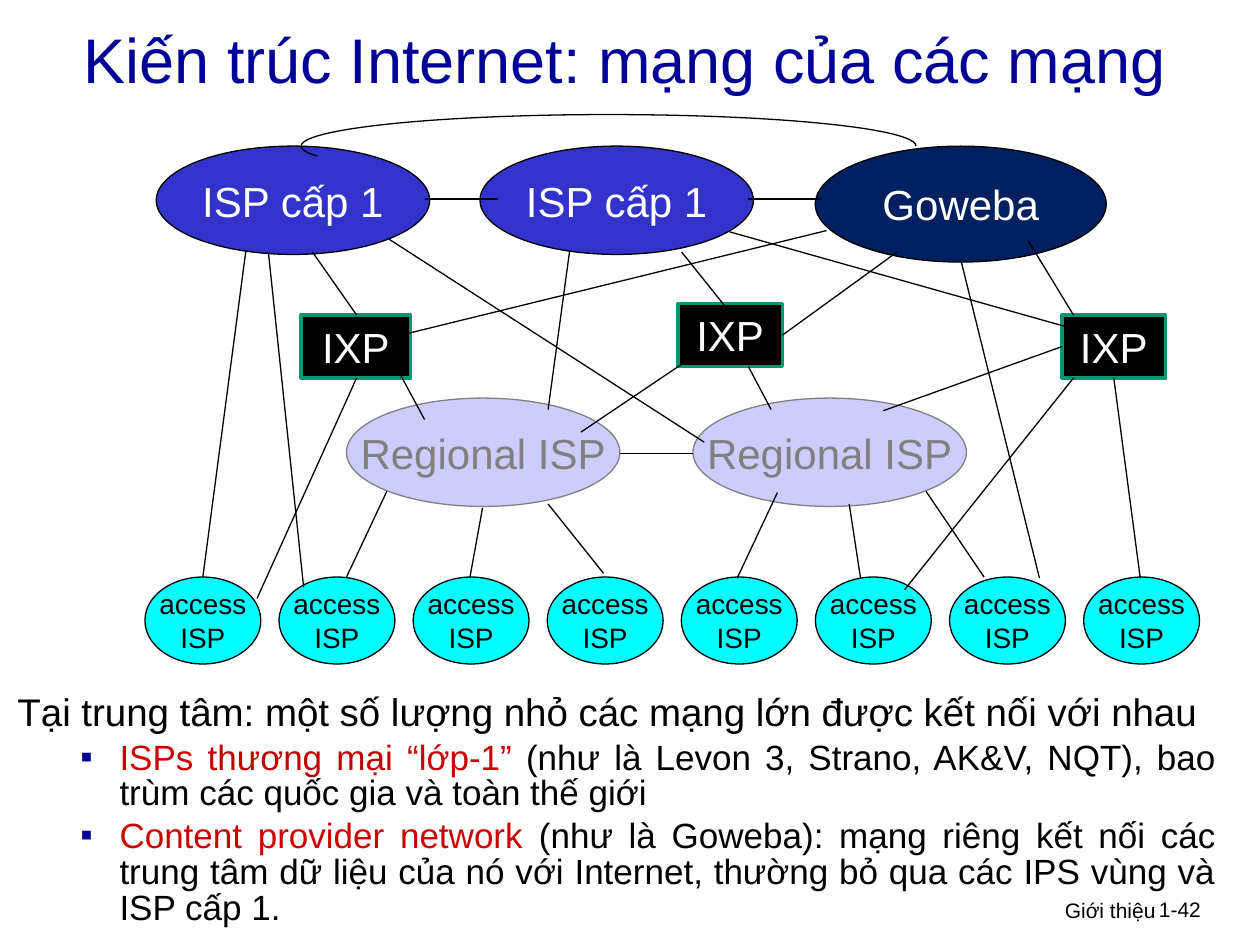
"""Build a slide on the Internet as a network of networks."""
from dataclasses import dataclass
from typing import NamedTuple

from lxml.etree import SubElement
from pptx import Presentation
from pptx.dml.color import RGBColor
from pptx.enum.shapes import MSO_CONNECTOR, MSO_SHAPE
from pptx.enum.text import MSO_ANCHOR, PP_ALIGN
from pptx.oxml.ns import qn
from pptx.util import Cm, Length, Pt


@dataclass(frozen=True)
class Theme:
    font: str = "Arial"
    black: str = "000000"
    white: str = "FFFFFF"
    navy: str = "000099"
    red: str = "CC0000"
    dark_red: str = "C00000"
    tier_one: str = "3333CC"
    provider: str = "002060"
    regional: str = "CCCCFF"
    gray: str = "808080"
    access: str = "00FFFF"
    exchange_edge: str = "009771"
    title_size: float = 36
    node_size: float = 24
    lead_size: float = 22
    bullet_size: float = 20
    access_size: float = 16
    footer_size: float = 12
    thin: float = 0.75
    thick: float = 2


class Span(NamedTuple):
    text: str
    color: str


class Area(NamedTuple):
    left: float
    top: float
    width: float
    height: float


class Link(NamedTuple):
    x1: float
    y1: float
    x2: float
    y2: float


@dataclass(frozen=True)
class NodeStyle:
    fill: str
    text: str = "FFFFFF"
    edge: str = "000000"
    edge_width: float = 0.75
    size: float = 24
    preset: MSO_SHAPE = MSO_SHAPE.OVAL
    wrap: bool = False


class Node(NamedTuple):
    label: str
    area: Area
    style: NodeStyle


THEME = Theme()
TIER_ONE = NodeStyle(THEME.tier_one)
PROVIDER = NodeStyle(THEME.provider)
REGIONAL = NodeStyle(THEME.regional, THEME.gray, THEME.gray)
ACCESS = NodeStyle(THEME.access, THEME.black, size=THEME.access_size)
EXCHANGE = NodeStyle(THEME.black, edge=THEME.exchange_edge, edge_width=THEME.thick,
                     preset=MSO_SHAPE.RECTANGLE, wrap=True)

ACCESS_PITCH = 7.45 / 7
NODES = [
    *(Node("access\nISP", Area(1.15 + index * ACCESS_PITCH, 4.58, 0.92, 0.69), ACCESS)
      for index in range(8)),
    *(Node("Regional ISP", Area(left, 3.16, 2.17, 0.86), REGIONAL) for left in (2.75, 5.5)),
    *(Node("ISP cấp 1", Area(left, 1.16, 2.17, 0.86), TIER_ONE) for left in (1.24, 3.81)),
    Node("Goweba", Area(6.47, 1.16, 2.31, 0.92), PROVIDER),
    Node("IXP", Area(2.39, 2.5, 0.87, 0.5), EXCHANGE),
    Node("IXP", Area(5.38, 2.41, 0.83, 0.5), EXCHANGE),
    Node("IXP", Area(8.43, 2.5, 0.82, 0.5), EXCHANGE),
]

PEER_LINKS = [Link(3.95, 1.58, 3.37, 1.58), Link(6.52, 1.58, 5.94, 1.58),
              Link(5.5, 3.6, 4.92, 3.6)]
TIER_ONE_LINKS = [
    Link(1.95, 2, 1.61, 4.58), Link(2.13, 2, 2.41, 4.66), Link(2.48, 2, 2.83, 2.5),
    Link(3.09, 1.9, 5.59, 3.51), Link(4.52, 2, 4.35, 3.25), Link(5.41, 2, 5.85, 2.55),
    Link(5.79, 1.84, 8.45, 2.59),
]
PROVIDER_LINKS = [Link(6.56, 1.83, 3.1, 2.68), Link(7.12, 2, 6.21, 2.66),
                  Link(7.63, 2.08, 8.25, 4.59), Link(8.16, 1.91, 8.52, 2.5)]
EXCHANGE_LINKS = [
    Link(2.83, 3, 2.04, 4.75), Link(3.1, 2.83, 3.37, 3.33), Link(5.5, 2.83, 4.61, 3.43),
    Link(5.94, 2.91, 6.12, 3.25), Link(8.43, 2.75, 7.01, 3.26), Link(8.52, 3, 7.18, 4.68),
    Link(8.84, 3, 9.05, 4.59),
]
REGIONAL_LINKS = [
    Link(3.07, 3.9, 2.75, 4.58), Link(3.83, 4.03, 3.73, 4.58), Link(4.35, 4, 4.79, 4.55),
    Link(6.17, 3.91, 5.85, 4.59), Link(6.74, 4, 6.83, 4.59), Link(7.35, 3.9, 7.81, 4.58),
]
LINKS = PEER_LINKS + TIER_ONE_LINKS + PROVIDER_LINKS + EXCHANGE_LINKS + REGIONAL_LINKS

LEAD = "Tại trung tâm: một số lượng nhỏ các mạng lớn được kết nối với nhau"
BULLETS = [
    [Span("ISPs ", THEME.red), Span("thương mại ", THEME.dark_red), Span("“lớp-1” ", THEME.red),
     Span("(như là Levon 3, Strano, AK&V, NQT), bao trùm các quốc gia và toàn thế giới",
          THEME.black)],
    [Span("Content provider network ", THEME.red),
     Span("(như là Goweba): mạng riêng kết nối các trung tâm dữ liệu của nó với Internet, "
          "thường bỏ qua các IPS vùng và ISP cấp 1.", THEME.black)],
]


def inches(value: float) -> Length:
    return Cm(value * 2.54)


def place(area: Area) -> list[Length]:
    return [inches(value) for value in area]


def write_paragraph(paragraph, spans: list[Span], *, size: float, align=PP_ALIGN.CENTER,
                    line_spacing: float | None = None, before: float = 0,
                    bullet: str | None = None) -> None:
    paragraph.alignment = align
    paragraph.line_spacing = line_spacing
    paragraph.space_before = Pt(before)
    if bullet:
        paragraph.level = 1
        properties = paragraph._p.get_or_add_pPr()
        properties.set("marL", str(inches(0.81)))
        properties.set("indent", str(inches(-0.31)))
        color = SubElement(properties, qn("a:buClr"))
        SubElement(color, qn("a:srgbClr"), val=THEME.navy)
        SubElement(properties, qn("a:buFont"), typeface=THEME.font)
        SubElement(properties, qn("a:buChar"), char=bullet)
    for span in spans:
        run = paragraph.add_run()
        run.text = span.text
        run.font.name = THEME.font
        run.font.size = Pt(size)
        run.font.color.rgb = RGBColor.from_string(span.color)


def add_text(page, area: Area, spans: list[Span], *, anchor=MSO_ANCHOR.TOP, **text_format):
    frame = page.shapes.add_textbox(*place(area)).text_frame
    frame.word_wrap = True
    frame.vertical_anchor = anchor
    write_paragraph(frame.paragraphs[0], spans, **text_format)
    return frame


def style_line(shape, color: str, width: float) -> None:
    shape.line.color.rgb = RGBColor.from_string(color)
    shape.line.width = Pt(width)


def draw_node(page, node: Node) -> None:
    style = node.style
    shape = page.shapes.add_shape(style.preset, *place(node.area))
    shape.shadow.inherit = False
    shape.fill.solid()
    shape.fill.fore_color.rgb = RGBColor.from_string(style.fill)
    style_line(shape, style.edge, style.edge_width)
    frame = shape.text_frame
    frame.word_wrap = style.wrap
    frame.vertical_anchor = MSO_ANCHOR.MIDDLE
    for index, text in enumerate(node.label.split("\n")):
        paragraph = frame.add_paragraph() if index else frame.paragraphs[0]
        write_paragraph(paragraph, [Span(text, style.text)], size=style.size)


def draw_link(page, link: Link) -> None:
    connector = page.shapes.add_connector(MSO_CONNECTOR.STRAIGHT, *map(inches, link))
    style_line(connector, THEME.black, THEME.thin)
    SubElement(connector._element.spPr, qn("a:effectLst"))


def draw_arc(page, area: Area) -> None:
    arc = page.shapes.add_shape(MSO_SHAPE.ARC, *place(area))
    arc.adjustments[0] = 106.82
    arc.adjustments[1] = 0
    arc.shadow.inherit = False
    arc.fill.background()
    style_line(arc, THEME.black, THEME.thin)


def main() -> None:
    deck = Presentation()
    deck.slide_width, deck.slide_height = inches(10), inches(7.5)
    page = deck.slides.add_slide(deck.slide_layouts[6])
    add_text(page, Area(0.28, 0.11, 9.36, 0.71),
             [Span("Kiến trúc Internet: mạng của các mạng", THEME.navy)],
             size=THEME.title_size, anchor=MSO_ANCHOR.MIDDLE)
    body = add_text(page, Area(0.04, 5.47, 9.71, 2.16), [Span(LEAD, THEME.black)],
                    size=THEME.lead_size, align=PP_ALIGN.JUSTIFY, line_spacing=0.85)
    for spans in BULLETS:
        write_paragraph(body.add_paragraph(), spans, size=THEME.bullet_size,
                        align=PP_ALIGN.JUSTIFY, line_spacing=0.85, before=4, bullet="▪")
    add_text(page, Area(6.1, 7.07, 3.17, 0.31), [Span("Giới thiệu", THEME.black)],
             size=THEME.footer_size, align=PP_ALIGN.RIGHT)
    add_text(page, Area(9.1, 7.07, 0.74, 0.3), [Span("1-42", THEME.black)],
             size=THEME.footer_size, align=PP_ALIGN.LEFT)
    for node in NODES:
        draw_node(page, node)
    for link in LINKS:
        draw_link(page, link)
    draw_arc(page, Area(2.39, 0.91, 4.88, 0.5))
    deck.save("out.pptx")


if __name__ == "__main__":
    main()
